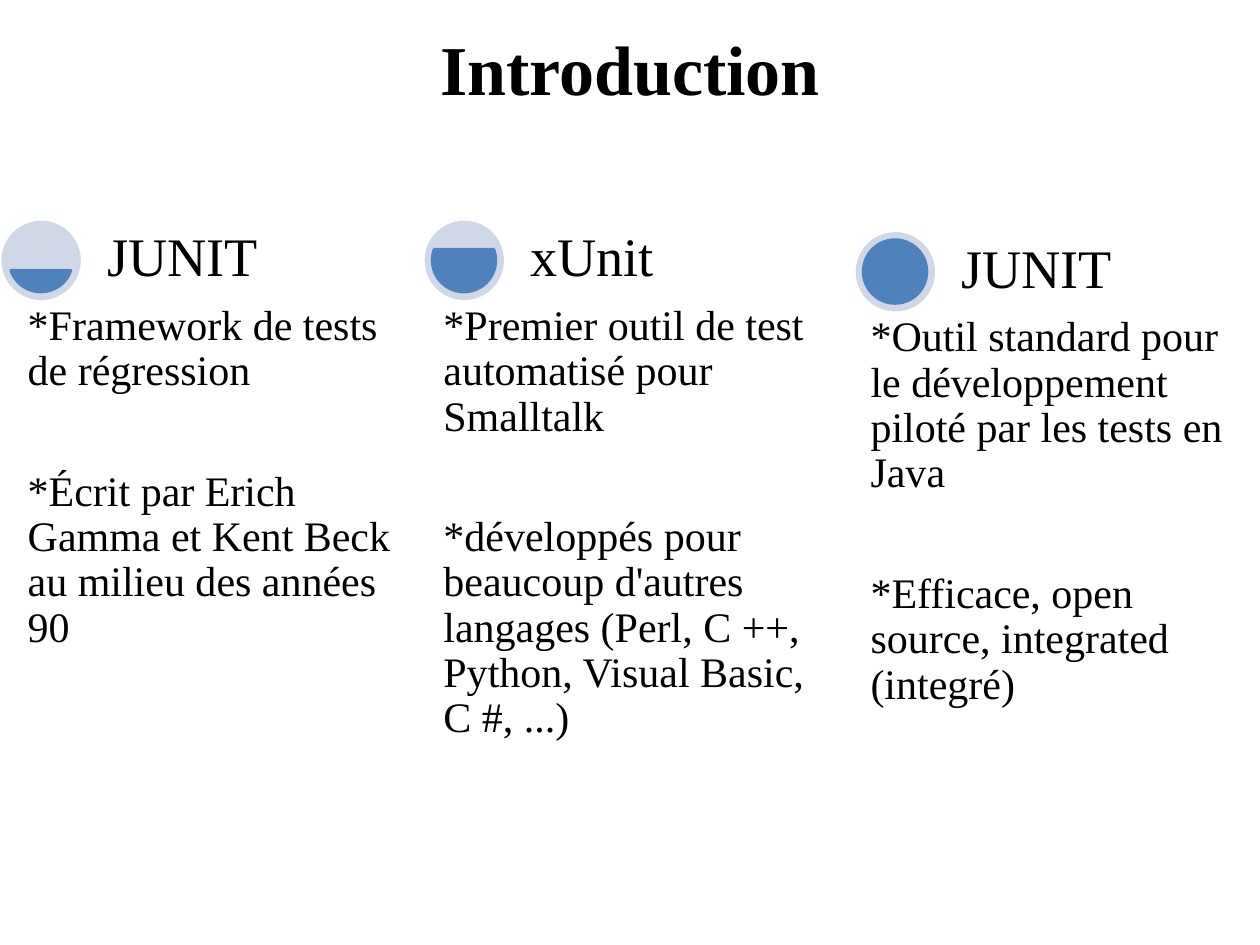
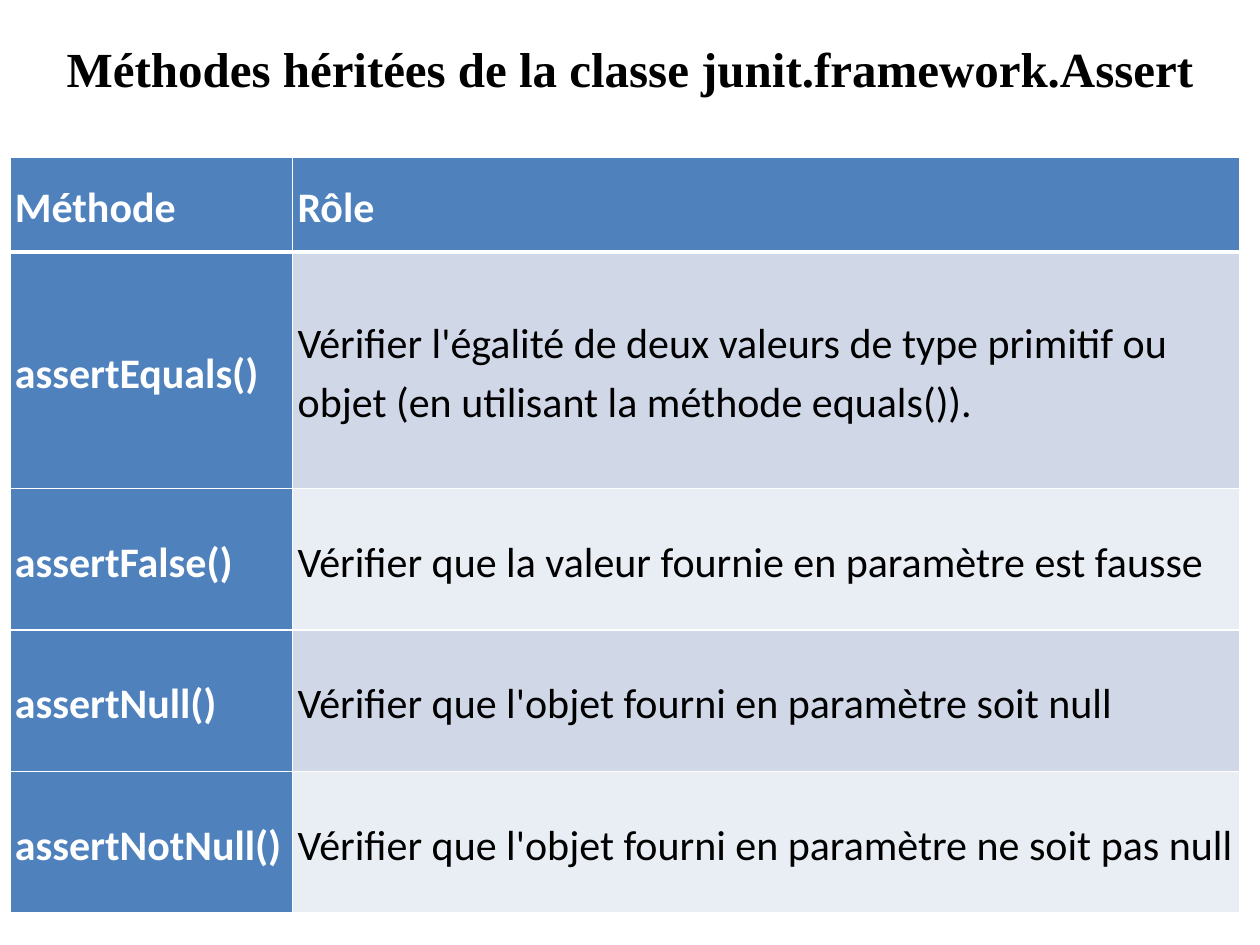
from math import asin, degrees

from lxml import etree
from pptx import Presentation
from pptx.dml.color import RGBColor
from pptx.enum.shapes import MSO_SHAPE as SHAPE
from pptx.enum.text import MSO_ANCHOR as ANCHOR, PP_ALIGN as ALIGN
from pptx.oxml.ns import qn
from pptx.util import Cm, Pt

BLUE, PALE, LIGHT = "4F81BD", "D0D8E8", "E9EDF4"
WHITE, BLACK = "FFFFFF", "000000"
SERIF, SANS = "Times New Roman", "Calibri"


def rgb(color):
    return RGBColor.from_string(color)


def set_margins(target, x, y):
    target.margin_left = target.margin_right = Cm(x)
    target.margin_top = target.margin_bottom = Cm(y)


def set_border(cell, side, width):
    """Draw one white cell edge; side is L, R, T or B."""
    ln = etree.SubElement(cell._tc.get_or_add_tcPr(), qn(f"a:ln{side}"), w=str(Pt(width)))
    fill = etree.SubElement(ln, qn("a:solidFill"))
    etree.SubElement(fill, qn("a:srgbClr"), val=WHITE)


class Deck:
    def __init__(self):
        self.prs = Presentation()
        self.prs.slide_width, self.prs.slide_height = Cm(25.4), Cm(19.05)
        self.slide = None

    def new_slide(self):
        self.slide = self.prs.slides.add_slide(self.prs.slide_layouts[6])

    def style(self, p, size, font=SERIF, color=BLACK, bold=False):
        p.font.size, p.font.name, p.font.bold = Pt(size), font, bold
        p.font.color.rgb = rgb(color)

    def text(self, x, y, w, h, paragraphs, size, anchor=ANCHOR.TOP, margins=(0.25, 0.13),
             align=ALIGN.LEFT, bold=False, spacing=0.9, gap=0):
        """Add a text box; gap is the space in points between paragraphs."""
        tf = self.slide.shapes.add_textbox(Cm(x), Cm(y), Cm(w), Cm(h)).text_frame
        tf.word_wrap, tf.vertical_anchor = True, anchor
        set_margins(tf, *margins)
        for i, words in enumerate(paragraphs):
            p = tf.add_paragraph() if i else tf.paragraphs[0]
            p.text, p.alignment, p.line_spacing = words, align, spacing
            if i:
                p.space_before = Pt(gap)
            self.style(p, size, bold=bold)

    def title(self, words, size, x, y, w, h):
        self.text(x, y, w, h, [words], size, ANCHOR.MIDDLE, align=ALIGN.CENTER,
                  bold=True, spacing=1.0)

    def shape(self, kind, x, y, size, color, line=None):
        sp = self.slide.shapes.add_shape(kind, Cm(x), Cm(y), Cm(size), Cm(size))
        sp.shadow.inherit = False
        sp.fill.solid()
        sp.fill.fore_color.rgb = rgb(color)
        if line:
            sp.line.color.rgb, sp.line.width = rgb(color), Pt(line)
        else:
            sp.line.fill.background()
        return sp

    def gauge(self, x, y, level):
        """Add a disc filled from the bottom up to level (0 to 1)."""
        self.shape(SHAPE.OVAL, x, y, 1.6, PALE)
        chord = self.shape(SHAPE.CHORD, x + 0.16, y + 0.16, 1.27, BLUE, line=2)
        angle = degrees(asin(1 - 2 * level))
        for i, a in enumerate((angle % 360, 180 - angle)):
            chord.adjustments[i] = a * 0.6  # 60000 units a degree, scaled by 100000

    def table(self, x, y, widths, heights, rows):
        frame = self.slide.shapes.add_table(len(rows), len(widths), Cm(x), Cm(y),
                                            Cm(sum(widths)), Cm(sum(heights)))
        table = frame.table
        for column, width in zip(table.columns, widths):
            column.width = Cm(width)
        for r, (row, height) in enumerate(zip(rows, heights)):
            table.rows[r].height = Cm(height)
            for c, words in enumerate(row):
                self.cell(table.cell(r, c), words, r, c)

    def cell(self, cell, words, r, c):
        head = r == 0 or c == 0
        for side in "LRTB":
            under_header = (r, side) in ((0, "B"), (1, "T"))
            set_border(cell, side, 3 if under_header else 1)
        cell.fill.solid()
        cell.fill.fore_color.rgb = rgb(BLUE if head else PALE if r % 2 else LIGHT)
        cell.vertical_anchor = ANCHOR.MIDDLE
        set_margins(cell, 0.1, 0.1)
        p = cell.text_frame.paragraphs[0]
        p.text, p.line_spacing, p.space_after = words, 1.15, Pt(10)
        self.style(p, 24, SANS, WHITE if head else BLACK, head)


def add_introduction(deck):
    deck.new_slide()
    deck.title("Introduction", 40, 1.27, 0.38, 22.86, 1.96)
    # gauge left, gauge top, body left, body width, body height, label, body
    columns = [
        (0.03, 4.45, 0.38, 7.85, 6.93, "JUNIT",
         ["*Framework de tests de régression",
          "*Écrit par Erich Gamma et Kent Beck au milieu des années 90"]),
        (8.56, 4.45, 8.76, 8.15, 6.91, "xUnit",
         ["*Premier outil de test automatisé pour Smalltalk",
          "*développés pour beaucoup d'autres langages "
          "(Perl, C ++, Python, Visual Basic, C #, ...)"]),
        (17.25, 4.68, 17.37, 7.72, 5.99, "JUNIT",
         ["*Outil standard pour le développement piloté par les tests en Java",
          "*Efficace, open source, integrated (integré)"]),
    ]
    for i, (x, y, body_x, body_w, body_h, label, body) in enumerate(columns, 1):
        deck.gauge(x, y, i / len(columns))
        deck.text(body_x, y + 1.5, body_w, body_h, body, 24, margins=(0.18, 0.18), gap=43)
        deck.text(x + 1.9, y, 4.72, 1.6, [label], 31, ANCHOR.BOTTOM, (0.23, 0.23))


def add_assert_methods(deck):
    deck.new_slide()
    rows = [
        ("Méthode", "Rôle"),
        ("assertEquals()", "Vérifier l'égalité de deux valeurs de type primitif ou objet "
                           "(en utilisant la méthode equals())."),
        ("assertFalse()", "Vérifier que la valeur fournie en paramètre est fausse"),
        ("assertNull()", "Vérifier que l'objet fourni en paramètre soit null"),
        ("assertNotNull()", "Vérifier que l'objet fourni en paramètre ne soit pas null"),
    ]
    deck.table(0.2, 3.18, (5.7, 19.1), (1.9, 4.77, 2.85, 2.85, 2.85), rows)
    deck.title("Méthodes héritées de la classe junit.framework.Assert", 28, 0, 0.64, 25.4, 1.45)


def main():
    deck = Deck()
    add_introduction(deck)
    add_assert_methods(deck)
    deck.prs.save("out.pptx")


if __name__ == "__main__":
    main()
